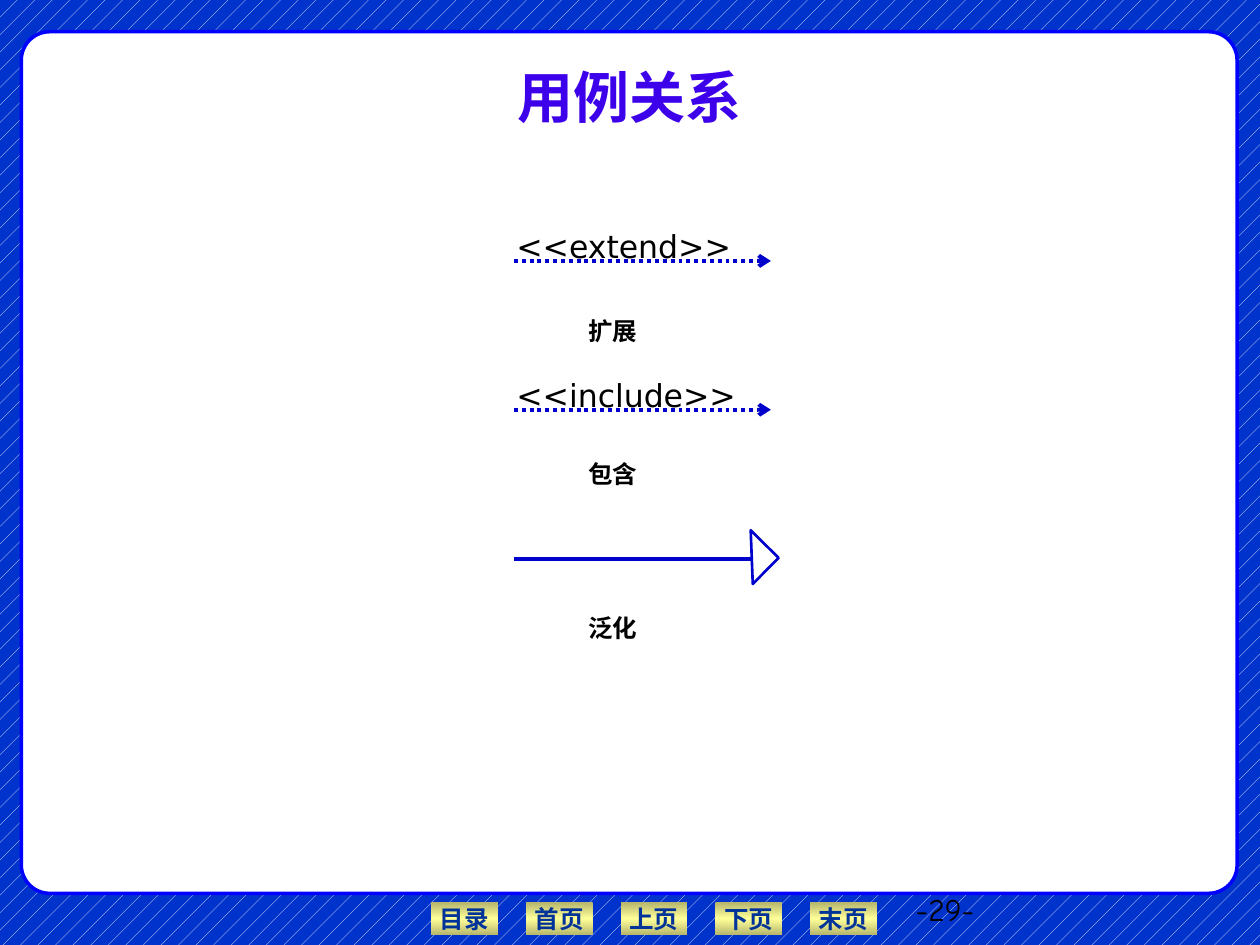
"""Build the slide on use case relations: extend, include and generalization."""
from lxml.etree import SubElement
from pptx import Presentation
from pptx.dml.color import RGBColor
from pptx.enum.dml import MSO_LINE, MSO_PATTERN
from pptx.enum.shapes import MSO_CONNECTOR, MSO_SHAPE
from pptx.enum.text import MSO_ANCHOR as Anchor, PP_ALIGN as Align
from pptx.oxml import parse_xml
from pptx.oxml.ns import nsdecls, qn
from pptx.util import Cm, Pt

TITLE = "用例关系"
PAGE_NUMBER = "-29-"
BUTTONS = ["目录", "首页", "上页", "下页", "末页"]
RELATIONS = [
    {"stereotype": "<<extend>>", "caption": "扩展", "caption_top": 6.25},
    {"stereotype": "<<include>>", "caption": "包含", "caption_top": 9.12},
    {"stereotype": None, "caption": "泛化", "caption_top": 12.24},
]

WHITE = RGBColor(0xFF, 0xFF, 0xFF)
BLACK = RGBColor(0x00, 0x00, 0x00)
BACKDROP = RGBColor(0x00, 0x33, 0xCC)
FRAME = RGBColor(0x00, 0x00, 0xFF)
HEADING = RGBColor(0x3D, 0x00, 0xEA)
ARROW = RGBColor(0x00, 0x00, 0xCC)
BUTTON_TEXT = RGBColor(0x00, 0x33, 0x99)
OLIVE = RGBColor(0xB6, 0xB6, 0x6D)
YELLOW = RGBColor(0xFF, 0xFF, 0x99)

HEADING_FONT, LABEL_FONT, BUTTON_FONT = "Comic Neue", "DejaVu Sans", "Times New Roman"
ARROW_LEFT, ARROW_RIGHT, SHAFT_RIGHT = 10.36, 15.54, 15.16
FIRST_ARROW_TOP, ARROW_STEP = 5.26, 3
BUTTON_LEFT, BUTTON_STEP = 8.69, 1.91


def box(left, top, width, height):
    return Cm(left), Cm(top), Cm(width), Cm(height)


def write(shape, text, font=LABEL_FONT, size=18, color=BLACK, bold=False,
          align=Align.LEFT, anchor=Anchor.TOP, wrap=True):
    frame = shape.text_frame
    frame.word_wrap = wrap
    frame.vertical_anchor = anchor
    paragraph = frame.paragraphs[0]
    paragraph.alignment = align
    run = paragraph.add_run()
    run.text = text
    run.font.name, run.font.size, run.font.bold = font, Pt(size), bold
    run.font.color.rgb = color


def add_button(shapes, index, text):
    button = shapes.add_shape(MSO_SHAPE.ACTION_BUTTON_CUSTOM,
                              *box(BUTTON_LEFT + index * BUTTON_STEP, 18.19, 1.35, 0.66))
    button.shadow.inherit = False
    button.line.fill.background()
    button.fill.solid()
    solid = button.element.spPr.find(qn("a:solidFill"))
    stops = "".join(f'<a:gs pos="{position}"><a:srgbClr val="{color}"/></a:gs>'
                    for position, color in [(0, OLIVE), (50000, YELLOW), (100000, OLIVE)])
    solid.getparent().replace(solid, parse_xml(
        f'<a:gradFill {nsdecls("a")} rotWithShape="1"><a:gsLst>{stops}</a:gsLst>'
        '<a:lin ang="5400000" scaled="1"/></a:gradFill>'))
    write(button, text, font=BUTTON_FONT, size=14, color=BUTTON_TEXT, bold=True,
          align=Align.CENTER, anchor=Anchor.MIDDLE, wrap=False)


def add_arrow(shapes, top, right, dotted):
    arrow = shapes.add_connector(MSO_CONNECTOR.STRAIGHT,
                                 Cm(ARROW_LEFT), Cm(top), Cm(right), Cm(top))
    arrow.line.color.rgb = ARROW
    arrow.line.width = Pt(2.25)
    if dotted:
        arrow.line.dash_style = MSO_LINE.ROUND_DOT
        SubElement(arrow.line._get_or_add_ln(), qn("a:tailEnd"), type="arrow")
    SubElement(arrow._element.spPr, qn("a:effectLst"))


def add_hollow_head(shapes, top):
    head = shapes.add_shape(MSO_SHAPE.RIGHT_TRIANGLE, *box(14.76, top - 0.4, 0.79, 0.74))
    head.shadow.inherit = False
    head.rotation = 224.6
    head.fill.background()
    head.line.color.rgb = ARROW
    head.line.width = Pt(1.5)


def main():
    deck = Presentation()
    deck.slide_width, deck.slide_height = Cm(25.4), Cm(19.05)
    slide = deck.slides.add_slide(deck.slide_layouts[5])
    shapes = slide.shapes

    backdrop = slide.background.fill
    backdrop.patterned()
    backdrop.pattern = MSO_PATTERN.PERCENT_5
    backdrop.fore_color.rgb, backdrop.back_color.rgb = WHITE, BACKDROP

    for index, text in enumerate(BUTTONS):
        add_button(shapes, index, text)

    panel = shapes.add_shape(MSO_SHAPE.ROUNDED_RECTANGLE, *box(0.43, 0.64, 24.51, 17.37))
    panel.adjustments[0] = 0.033
    panel.shadow.inherit = False
    panel.fill.solid()
    panel.fill.fore_color.rgb = WHITE
    panel.line.color.rgb = FRAME
    panel.line.width = Pt(2)

    write(shapes.add_textbox(*box(18.21, 17.81, 5.92, 1.32)), PAGE_NUMBER, font=HEADING_FONT)

    title = shapes.title
    title.left, title.top, title.width, title.height = box(1.27, 0.64, 22.86, 2.11)
    write(title, TITLE, font=HEADING_FONT, size=32, color=HEADING, bold=True,
          align=Align.CENTER, anchor=Anchor.BOTTOM)
    shapes._spTree.append(title.element)

    for index, relation in enumerate(RELATIONS):
        top = FIRST_ARROW_TOP + index * ARROW_STEP
        stereotype = relation["stereotype"]
        add_arrow(shapes, top, ARROW_RIGHT if stereotype else SHAFT_RIGHT, bool(stereotype))
        if stereotype:
            write(shapes.add_textbox(*box(10.16, top - 0.81, 5, 1.02)), stereotype)
        else:
            add_hollow_head(shapes, top)
        caption = shapes.add_textbox(*box(11.61, relation["caption_top"], 5.79, 1.27))
        write(caption, relation["caption"], size=14, bold=True)

    deck.save("out.pptx")


if __name__ == "__main__":
    main()
